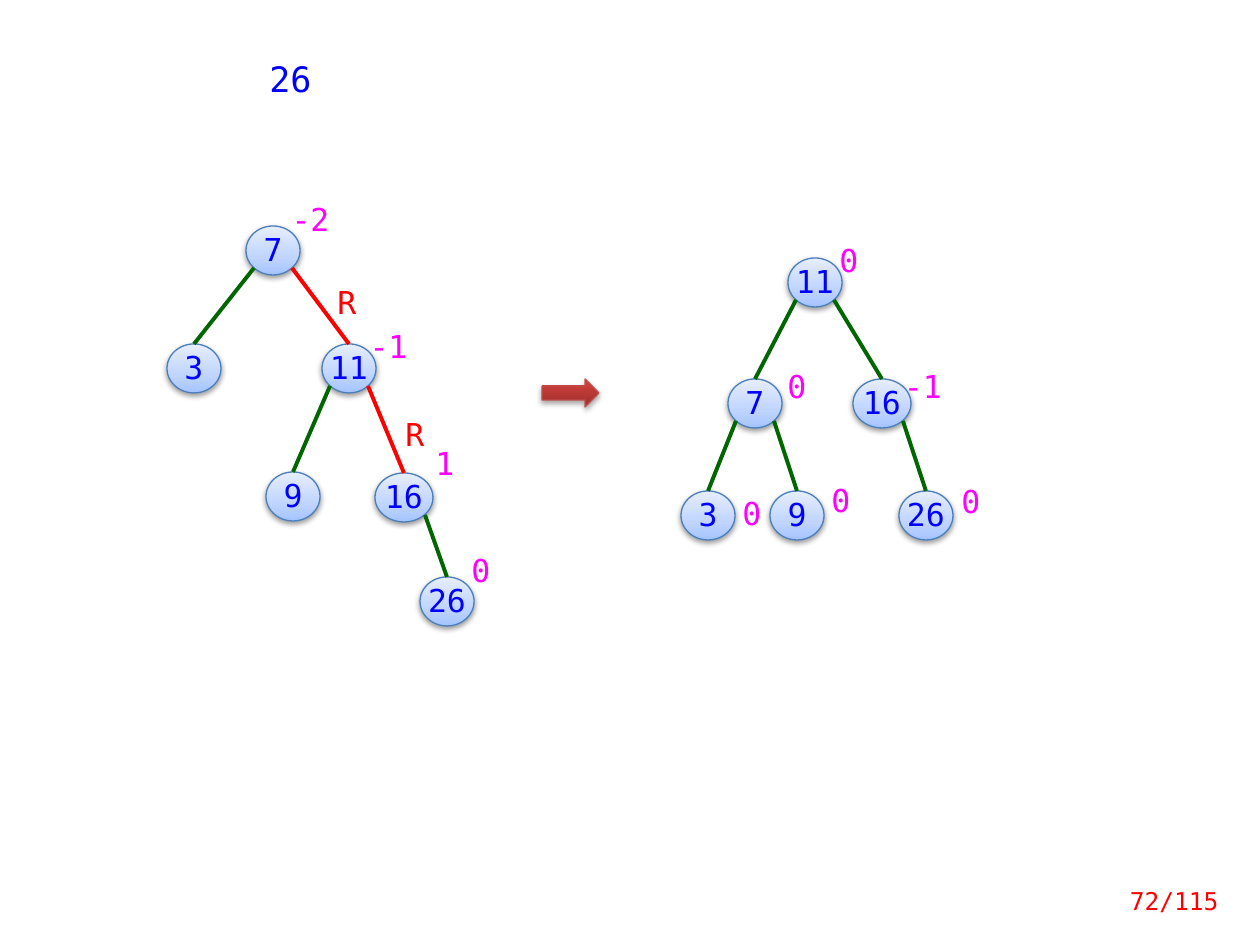
from lxml import etree
from pptx import Presentation
from pptx.dml.color import RGBColor
from pptx.enum.shapes import MSO_CONNECTOR, MSO_SHAPE
from pptx.enum.text import MSO_ANCHOR, MSO_AUTO_SIZE, PP_ALIGN
from pptx.oxml import parse_xml
from pptx.oxml.ns import nsdecls, qn
from pptx.util import Emu, Pt

ELLIPSE, RIGHT_ARROW = MSO_SHAPE.OVAL, MSO_SHAPE.RIGHT_ARROW
STRAIGHT = MSO_CONNECTOR.STRAIGHT
MIDDLE, GROW = MSO_ANCHOR.MIDDLE, MSO_AUTO_SIZE.SHAPE_TO_FIT_TEXT
CENTER, RIGHT = PP_ALIGN.CENTER, PP_ALIGN.RIGHT

PX = 914400 // 126
FONT = "DejaVu Sans Mono"
BLUE, GREEN, RED, MAGENTA = "0000FF", "006600", "FF0000", "FF00FF"
NODE_HEIGHT = 49
DIAGONAL = 0.3536  # offset of the 45 degree point, as a share of the diameter


def write(shape, text, size, color, align=CENTER, spacing=None):
    paragraph = shape.text_frame.paragraphs[0]
    paragraph.text = text
    paragraph.alignment = align
    paragraph.line_spacing = spacing
    paragraph.font.name = FONT
    paragraph.font.size = Pt(size)
    paragraph.font.color.rgb = RGBColor.from_string(color)


def shade(shape, stops, outline, distance, opacity):
    """Upward gradient, thin outline and a soft shadow below."""
    colors = "".join(
        f'<a:gs pos="{pos * 1000}"><a:srgbClr val="{color}"/></a:gs>' for pos, color in stops)
    properties = shape.element.spPr
    properties.insert(2, parse_xml(
        f'<a:gradFill {nsdecls("a")} rotWithShape="1"><a:gsLst>{colors}</a:gsLst>'
        '<a:lin ang="16200000" scaled="0"/></a:gradFill>'))
    shape.line.color.rgb = RGBColor.from_string(outline)
    shape.line.width = Pt(0.75)
    shape.shadow.inherit = False
    properties.find(qn("a:effectLst")).append(parse_xml(
        f'<a:outerShdw {nsdecls("a")} blurRad="40000" dist="{distance}" dir="5400000" '
        f'rotWithShape="0"><a:srgbClr val="000000"><a:alpha val="{opacity * 1000}"/>'
        '</a:srgbClr></a:outerShdw>'))


prs = Presentation()
prs.slide_width, prs.slide_height = Emu(1260 * PX), Emu(945 * PX)
slide = prs.slides.add_slide(prs.slide_layouts[6])
shapes = slide.shapes

# Trees: nodes as key: (center x, top, width), edges as (parent, child, color)
before = (
    {"7": (273, 226, 54), "3": (194, 344, 54), "11": (349, 344, 54),
     "9": (293, 472, 54), "16": (404, 473, 58), "26": (447, 577, 54)},
    [("7", "3", GREEN), ("7", "11", RED), ("11", "9", GREEN),
     ("11", "16", RED), ("16", "26", GREEN)],
)
after = (
    {"11": (815, 258, 54), "7": (755, 379, 54), "16": (882, 379, 58),
     "3": (708, 491, 54), "9": (797, 491, 54), "26": (926, 491, 54)},
    [("11", "7", GREEN), ("11", "16", GREEN), ("7", "3", GREEN),
     ("7", "9", GREEN), ("16", "26", GREEN)],
)
for nodes, edges in (before, after):
    for key, (x, top, width) in nodes.items():
        node = shapes.add_shape(ELLIPSE, (x - width // 2) * PX, top * PX,
                                width * PX, NODE_HEIGHT * PX)
        shade(node, [(0, "A4C4FF"), (35, "BFD4FF"), (100, "E6EEFF")], "4B7EBC", 20000, 38)
        node.text_frame.word_wrap = False
        node.text_frame.vertical_anchor = MIDDLE
        write(node, key, 18, BLUE, spacing=Pt(20))

    # Each edge leaves the parent's lower side and meets the child's top
    for parent, child, color in edges:
        x, top, width = nodes[parent]
        child_x, child_top, _ = nodes[child]
        side = 1 if child_x > x else -1
        start_x = round(x + side * DIAGONAL * width)
        start_y = round(top + (0.5 + DIAGONAL) * NODE_HEIGHT)
        edge = shapes.add_connector(STRAIGHT, start_x * PX, start_y * PX,
                                    child_x * PX, child_top * PX)
        edge.line.color.rgb = RGBColor.from_string(color)
        edge.line.width = Pt(2.25)
        etree.SubElement(edge.element.spPr, qn("a:effectLst"))

# Balance factors and rotation marks: text, left, top, width, color
labels = [
    ("-2", 276, 197, 69, MAGENTA), ("-1", 354, 324, 69, MAGENTA),
    ("1", 423, 441, 33, MAGENTA), ("0", 459, 548, 33, MAGENTA),
    ("R", 325, 280, 33, RED), ("R", 393, 412, 33, RED),
    ("0", 827, 238, 40, MAGENTA), ("0", 775, 364, 40, MAGENTA),
    ("-1", 890, 364, 66, MAGENTA), ("0", 730, 491, 33, MAGENTA),
    ("0", 819, 478, 33, MAGENTA), ("0", 949, 479, 33, MAGENTA),
]
for text, left, top, width, color in labels:
    label = shapes.add_textbox(left * PX, top * PX, width * PX, 48 * PX)
    label.text_frame.word_wrap = True
    label.text_frame.auto_size = GROW
    write(label, text, 18, color, spacing=Pt(20))

# Arrow between the trees
rotation = shapes.add_shape(RIGHT_ARROW, 542 * PX, 379 * PX, 57 * PX, 28 * PX)
shade(rotation, [(0, "9C2F2D"), (80, "CB3E3A"), (100, "CE3B37")], "BF4C48", 23000, 35)

# Inserted key
inserted_key = shapes.add_textbox(256 * PX, 59 * PX, 69 * PX, 47 * PX)
inserted_key.text_frame.word_wrap = True
inserted_key.text_frame.auto_size = GROW
write(inserted_key, "26", 20, BLUE, spacing=0.8)

# Page number
page_number = shapes.add_textbox(1087 * PX, 876 * PX, 144 * PX, 50 * PX)
page_number.text_frame.word_wrap = True
page_number.text_frame.vertical_anchor = MIDDLE
write(page_number, "72/115", 14, RED, RIGHT)

prs.save("out.pptx")
